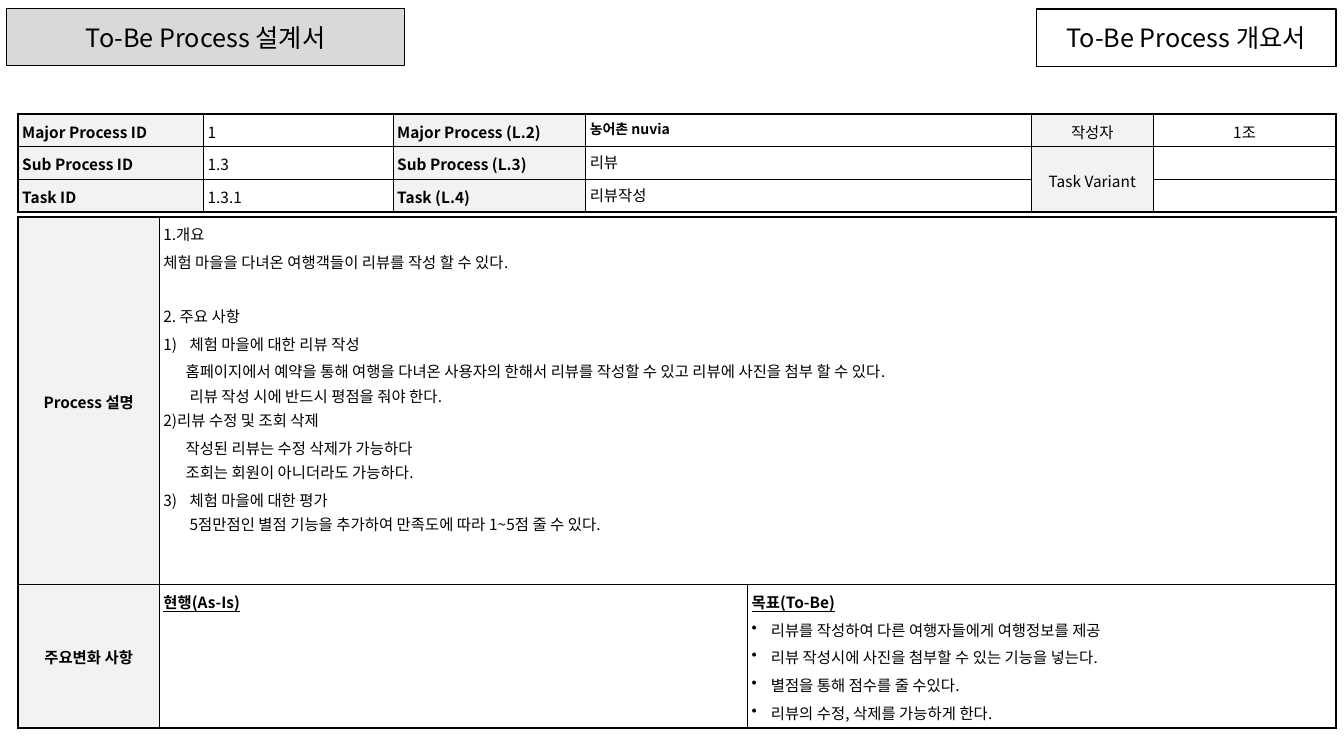
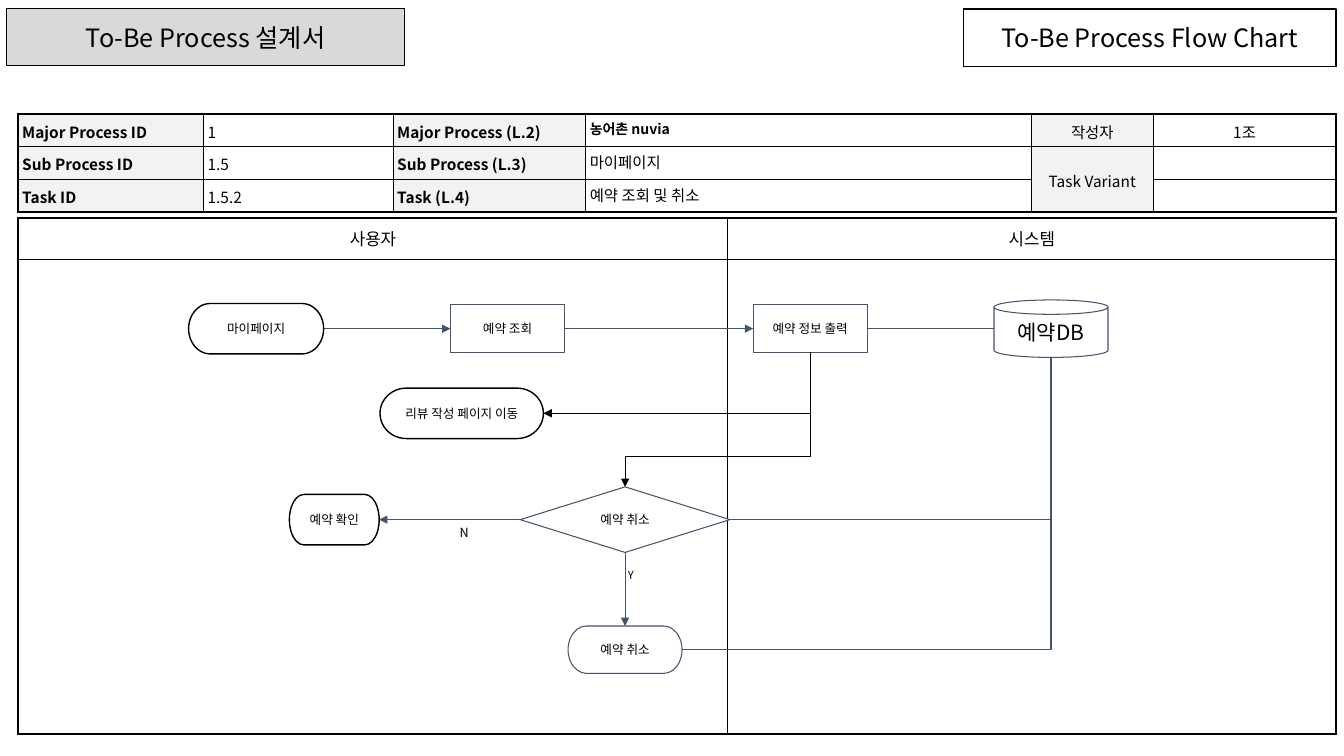
from dataclasses import dataclass

from lxml.etree import SubElement
from pptx import Presentation
from pptx.dml.color import RGBColor
from pptx.enum.shapes import MSO_CONNECTOR as Link, MSO_SHAPE as Shape
from pptx.enum.text import MSO_ANCHOR as Anchor, MSO_AUTO_SIZE as AutoSize, PP_ALIGN as Align
from pptx.oxml.ns import qn
from pptx.util import Emu, Inches, Pt


@dataclass(frozen=True)
class Theme:
    """Colours, font, type sizes and line widths of the document."""
    font: str = "Noto Sans CJK KR"
    ink: str = "000000"
    flow: str = "44546A"
    paper: str = "FFFFFF"
    label: str = "F2F2F2"
    band: str = "D9D9D9"
    title: float = 18
    database: float = 15
    lane: float = 12
    body: float = 11
    project: float = 10
    node: float = 9
    small: float = 8
    outer: float = 1.5
    line: float = 1
    thin: float = 0.75
    hair: float = 0.5


@dataclass(frozen=True)
class Box:
    """A rectangle whose inner areas are given in percent of its size."""
    left: float
    top: float
    width: float
    height: float

    def point(self, x, y):
        """Return the position at x and y percent."""
        return Emu(int(self.left + self.width * x / 100)), Emu(int(self.top + self.height * y / 100))

    def area(self, left, top, width, height):
        """Return the box at the given percentages."""
        return Box(*self.point(left, top), Emu(int(self.width * width / 100)),
                   Emu(int(self.height * height / 100)))

    def around(self, x, y, width, height):
        """Return the box centred on x and y percent."""
        return self.area(x - width / 2, y - height / 2, width, height)

    def frame(self):
        """Return left, top, width and height."""
        return self.left, self.top, self.width, self.height


@dataclass(frozen=True)
class Line:
    """One paragraph with its indents in inches and space before in points."""
    text: str
    before: float = 0
    indent: float = 0
    hang: float = 0
    bullet: bool = False
    bold: bool = False
    underline: bool = False


THEME = Theme()
SLIDE = Box(0, 0, Inches(13.33), Inches(7.5))
HEADER_COLUMNS = (1.84, 1.88, 1.91, 4.42, 1.21, 1.81)


def color(value):
    """Turn a hex value into a colour."""
    return RGBColor.from_string(value)


def write(text_frame, lines, size, align=Align.LEFT, spacing=1.0):
    """Fill a text frame with paragraphs."""
    for index, line in enumerate(lines):
        paragraph = text_frame.add_paragraph() if index else text_frame.paragraphs[0]
        paragraph.text = line.text
        paragraph.alignment = align
        paragraph.line_spacing = spacing
        paragraph.space_before = Pt(line.before)
        properties = paragraph._p.get_or_add_pPr()
        properties.set("marL", str(Inches(line.indent)))
        properties.set("indent", str(-Inches(line.hang)))
        if line.bullet:
            SubElement(properties, qn("a:buChar"), char="•")
        else:
            SubElement(properties, qn("a:buNone"))
        font = paragraph.font
        font.name, font.size = THEME.font, Pt(size)
        font.bold, font.underline = line.bold, line.underline
        font.color.rgb = color(THEME.ink)
        SubElement(font._rPr, qn("a:ea"), typeface=THEME.font)
        if not line.text:
            SubElement(paragraph._p, qn("a:endParaRPr"), sz=str(int(size * 100)))


def set_insets(target, horizontal, vertical):
    """Set the inner margins of a cell or text frame in inches."""
    target.margin_left = target.margin_right = Inches(horizontal)
    target.margin_top = target.margin_bottom = Inches(vertical)


def outline(shape, fill, line, width):
    """Give a shape its fill and line."""
    if fill:
        shape.fill.solid()
        shape.fill.fore_color.rgb = color(fill)
    else:
        shape.fill.background()
    shape.line.color.rgb = color(line)
    shape.line.width = Pt(width)


def add_shape(slide, kind, box, fill, line, width):
    """Add a plain preset shape."""
    shape = slide.shapes.add_shape(kind, *box.frame())
    shape.shadow.inherit = False
    outline(shape, fill, line, width)
    shape.text_frame.word_wrap = True
    shape.text_frame.vertical_anchor = Anchor.MIDDLE
    return shape


def add_grid(slide, box, columns, rows, inner, merge=None):
    """Add a table with a heavy frame and light inner lines."""
    table = slide.shapes.add_table(len(rows), len(columns), *box.frame()).table
    table.first_row = table.horz_banding = False
    for column, share in zip(table.columns, columns):
        column.width = int(box.width * share / sum(columns))
    for row, share in zip(table.rows, rows):
        row.height = int(box.height * share / sum(rows))
    if merge:
        first, last = merge
        table.cell(*first).merge(table.cell(*last))
    for row in range(len(rows)):
        for column in range(len(columns)):
            cell = table.cell(row, column)
            edges = {"a:lnL": column == 0,
                     "a:lnR": column + cell.span_width == len(columns),
                     "a:lnT": row == 0,
                     "a:lnB": row + cell.span_height == len(rows)}
            for tag, outside in edges.items():
                width = THEME.outer if outside else inner
                border = SubElement(cell._tc.get_or_add_tcPr(), qn(tag), w=str(Pt(width)))
                fill = SubElement(border, qn("a:solidFill"))
                SubElement(fill, qn("a:srgbClr"), val=THEME.ink)
            cell.fill.background()
    return table


def fill_cell(cell, lines, size=THEME.body, fill=None, middle=False, spacing=1.1):
    """Write a form cell, centred when it is a middle one."""
    set_insets(cell, 0.04, 0.04)
    cell.vertical_anchor = Anchor.MIDDLE if middle else Anchor.TOP
    if fill:
        cell.fill.solid()
        cell.fill.fore_color.rgb = color(fill)
    write(cell.text_frame, lines, size, Align.CENTER if middle else Align.LEFT, spacing)


def add_heading(slide, text, width):
    """Place the document band and the slide title at the right edge."""
    band = add_shape(slide, Shape.RECTANGLE, SLIDE.area(0.5, 1.1, 29.6, 7.6),
                     THEME.band, THEME.ink, THEME.line)
    write(band.text_frame, [Line("To-Be Process 설계서")], THEME.title, Align.CENTER)
    title = slide.shapes.title
    title.left, title.top, title.width, title.height = SLIDE.area(99.4 - width, 1.2, width, 7.6).frame()
    outline(title, None, THEME.ink, THEME.line)
    title.text_frame.auto_size = AutoSize.NONE
    title.text_frame.vertical_anchor = Anchor.MIDDLE
    write(title.text_frame, [Line(text)], THEME.title, Align.CENTER)


def add_header(slide, box, identifiers, names):
    """Place the table that identifies process, task and author."""
    table = add_grid(slide, box, HEADER_COLUMNS, (1, 1, 1), THEME.line, ((1, 4), (2, 4)))
    levels = (("Major Process ID", "Major Process (L.2)"),
              ("Sub Process ID", "Sub Process (L.3)"),
              ("Task ID", "Task (L.4)"))
    for row, (labels, identifier, name) in enumerate(zip(levels, identifiers, names)):
        for column, label in zip((0, 2), labels):
            fill_cell(table.cell(row, column), [Line(label, bold=True)], fill=THEME.label)
        fill_cell(table.cell(row, 1), [Line(identifier)])
        fill_cell(table.cell(row, 3), [Line(name, bold=row == 0)],
                  THEME.body if row else THEME.project, spacing=1.0)
        fill_cell(table.cell(row, 5), [Line("" if row else "1조")], middle=True)
    for row, label in enumerate(("작성자", "Task Variant")):
        fill_cell(table.cell(row, 4), [Line(label)], fill=THEME.label, middle=True)


def add_overview(slide, box):
    """Place the description and the main changes of the process."""
    table = add_grid(slide, box, (1.4, 5.83, 5.83), (3.64, 1.42), THEME.line, ((0, 1), (0, 2)))
    description = [
        Line("1.개요"),
        Line("체험 마을을 다녀온 여행객들이 리뷰를 작성 할 수 있다.", 2),
        Line("2. 주요 사항", 21.5),
        Line("1)\t체험 마을에 대한 리뷰 작성", 2, 0.26, 0.26),
        Line("홈페이지에서 예약을 통해 여행을 다녀온 사용자의 한해서 리뷰를 작성할 수 있고 "
             "리뷰에 사진을 첨부 할 수 있다.", 2, 0.22),
        Line("리뷰 작성 시에 반드시 평점을 줘야 한다.", 0, 0.26),
        Line("2)리뷰 수정 및 조회 삭제"),
        Line("작성된 리뷰는 수정 삭제가 가능하다", 2, 0.22),
        Line("조회는 회원이 아니더라도 가능하다.", 0, 0.22),
        Line("3)\t체험 마을에 대한 평가", 2, 0.26, 0.26),
        Line("5점만점인 별점 기능을 추가하여 만족도에 따라 1~5점 줄 수 있다.", 0, 0.26)]
    goals = ("리뷰를 작성하여 다른 여행자들에게 여행정보를 제공",
             "리뷰 작성시에 사진을 첨부할 수 있는 기능을 넣는다.",
             "별점을 통해 점수를 줄 수있다.",
             "리뷰의 수정, 삭제를 가능하게 한다.")
    for row, label in enumerate(("Process 설명", "주요변화 사항")):
        fill_cell(table.cell(row, 0), [Line(label, bold=True)], fill=THEME.label, middle=True)
    as_is, to_be = (Line(text, bold=True, underline=True) for text in ("현행(As-Is)", "목표(To-Be)"))
    bullets = [Line(goal, 2.2, 0.19, 0.19, bullet=True) for goal in goals]
    fill_cell(table.cell(0, 1), description, fill=THEME.paper)
    fill_cell(table.cell(1, 1), [as_is], fill=THEME.paper)
    fill_cell(table.cell(1, 2), [to_be, *bullets], fill=THEME.paper)


def style_connector(connector, line, width, arrow=None):
    """Set the line of a connector and the end that carries an arrowhead."""
    connector.line.color.rgb = color(line)
    connector.line.width = Pt(width)
    if arrow:
        SubElement(connector.line._get_or_add_ln(), qn(f"a:{arrow}"), type="triangle")
    SubElement(connector._element.spPr, qn("a:effectLst"))


def side(shape, x, y):
    """Return the point at the given shares of a shape's width and height."""
    return int(shape.left + shape.width * x), int(shape.top + shape.height * y)


def add_corner(slide, begin, end, line, width, arrow=None):
    """Draw a connector that runs sideways from begin and then up to end."""
    connector = slide.shapes.add_connector(Link.ELBOW, *begin, *end)
    connector._element.spPr.find(qn("a:prstGeom")).set("prst", "bentConnector2")
    style_connector(connector, line, width, arrow)


def add_step(slide, begin, end, bend):
    """Draw an arrow down, left and down again, turning at the given share."""
    (x, y), across, down = begin, begin[0] - end[0], end[1] - begin[1]
    left, top = x - (across + down) // 2, y + (down - across) // 2
    connector = slide.shapes.add_connector(Link.ELBOW, left, top, left + down, top + across)
    properties = connector._element.spPr
    properties.find(qn("a:xfrm")).set("rot", "5400000")
    guides = properties.find(qn("a:prstGeom")).find(qn("a:avLst"))
    SubElement(guides, qn("a:gd"), name="adj1", fmla=f"val {int(bend * 100000)}")
    style_connector(connector, THEME.ink, THEME.hair, "tailEnd")


def add_flow(slide, box):
    """Place the two lanes, the steps and the arrows between them."""
    table = add_grid(slide, box, (7.04, 6.03), (0.41, 4.71), THEME.thin)
    for cell, name in zip(table.rows[0].cells, ("사용자", "시스템")):
        cell.vertical_anchor = Anchor.MIDDLE
        write(cell.text_frame, [Line(name)], THEME.lane, Align.CENTER)
    first, second, third, fourth = 21.5, 37.9, 58.5, 83.7
    step = (8.65, 9.18)
    terminal, process = Shape.FLOWCHART_TERMINATOR, Shape.FLOWCHART_PROCESS
    steps = {
        "start": (terminal, "마이페이지", 18.06, first, (10.25, 9.77), True),
        "lookup": (process, "예약 조회", 37.14, first, step, False),
        "output": (process, "예약 정보 출력", 60.1, first, step, False),
        "database": (Shape.CAN, "예약DB", 78.38, first, (8.65, 11.13), False),
        "review": (terminal, "리뷰 작성 페이지 이동", 33.66, second, (12.4, 9.77), True),
        "decision": (Shape.FLOWCHART_DECISION, "예약 취소", 46.06, third, (15.91, 12.7), False),
        "confirm": (terminal, "예약 확인", 23.99, third, (6.81, 9.77), True),
        "cancel": (terminal, "예약 취소", 46.06, fourth, step, False)}
    nodes = {}
    for name, (kind, text, x, y, extent, dark) in steps.items():
        line, width = (THEME.ink, THEME.line) if dark else (THEME.flow, THEME.thin)
        node = add_shape(slide, kind, box.around(x, y, *extent), THEME.paper, line, width)
        set_insets(node.text_frame, 0.02, 0)
        size = THEME.database if kind == Shape.CAN else THEME.node
        write(node.text_frame, [Line(text)], size, Align.CENTER)
        nodes[name] = node
    top, left, bottom, right = range(4)
    for source, out, target, into in (("start", right, "lookup", left),
                                      ("lookup", right, "output", left),
                                      ("decision", left, "confirm", right),
                                      ("decision", bottom, "cancel", top)):
        connector = slide.shapes.add_connector(Link.STRAIGHT, 0, 0, 0, 0)
        connector.begin_connect(nodes[source], out)
        connector.end_connect(nodes[target], into)
        style_connector(connector, THEME.flow, THEME.thin, "tailEnd")
    output, database = nodes["output"], nodes["database"]
    connector = slide.shapes.add_connector(Link.STRAIGHT, *side(output, 1, 0.5), *side(database, 0, 0.5))
    connector.begin_connect(output, right)
    style_connector(connector, THEME.flow, THEME.thin)
    for name in ("decision", "cancel"):
        add_corner(slide, side(nodes[name], 1, 0.5), side(database, 0.5, 1), THEME.flow, THEME.thin)
    add_corner(slide, side(nodes["review"], 1, 0.5), side(output, 0.5, 1),
               THEME.ink, THEME.hair, "headEnd")
    add_step(slide, side(output, 0.5, 1), side(nodes["decision"], 0.5, 0), 0.77)
    for text, place, size in (("Y", (45.52, 66.6, 3.37, 6.64), THEME.small),
                              ("N", (32.75, 58, 5.28, 6.84), THEME.node)):
        frame = slide.shapes.add_textbox(*box.area(*place).frame()).text_frame
        frame.word_wrap = True
        set_insets(frame, 0.1, 0.1)
        write(frame, [Line(text)], size)


def main():
    """Build both slides and save the file."""
    presentation = Presentation()
    presentation.slide_width, presentation.slide_height = SLIDE.width, SLIDE.height
    pages = (
        ("To-Be Process 개요서", 22.3, ("1", "1.3", "1.3.1"), ("리뷰", "리뷰작성"),
         add_overview, (28.67, 67.6)),
        ("To-Be Process Flow Chart", 27.7, ("1", "1.5", "1.5.2"), ("마이페이지", "예약 조회 및 취소"),
         add_flow, (28.8, 68.27)))
    for title, width, identifiers, names, add_body, (top, height) in pages:
        slide = presentation.slides.add_slide(presentation.slide_layouts[5])
        add_heading(slide, title, width)
        add_header(slide, SLIDE.area(1.35, 15.07, 98.05, 12.4), identifiers, ("농어촌 nuvia", *names))
        add_body(slide, SLIDE.area(1.35, top, 98.05, height))
    presentation.save("out.pptx")


if __name__ == "__main__":
    main()
